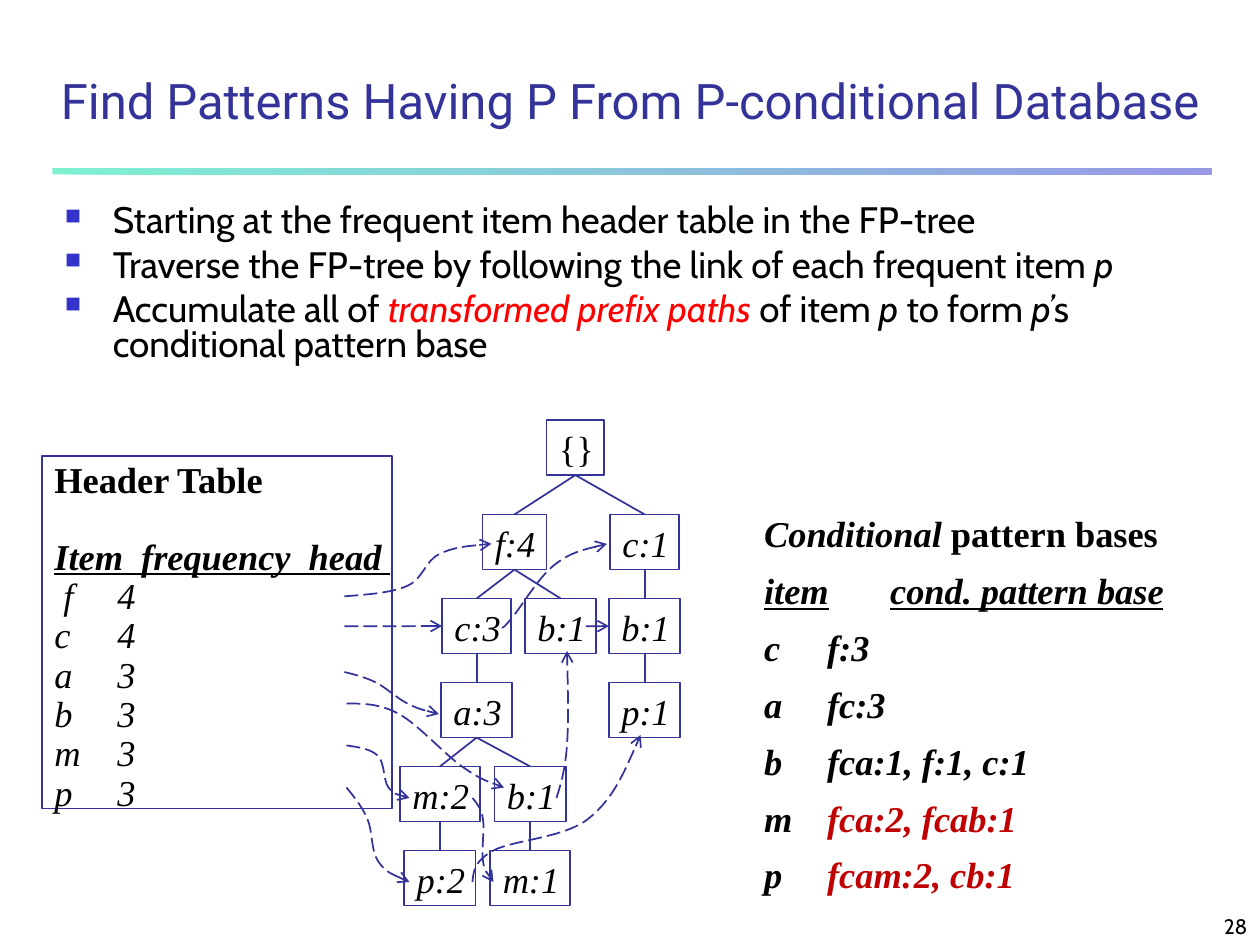
from dataclasses import dataclass
from lxml.etree import SubElement
from pptx import Presentation
from pptx.dml.color import RGBColor
from pptx.enum.dml import MSO_LINE
from pptx.enum.shapes import MSO_CONNECTOR, MSO_SHAPE
from pptx.enum.text import MSO_ANCHOR, PP_ALIGN
from pptx.oxml.ns import qn
from pptx.util import Inches, Pt

NAVY = RGBColor(0x33, 0x33, 0x99)
BLUE = RGBColor(0x33, 0x33, 0xCC)
MINT = RGBColor(0x00, 0xE4, 0xA8)
RED = RGBColor(0xFF, 0x00, 0x00)
CRIMSON = RGBColor(0xC0, 0x00, 0x00)
BLACK = RGBColor(0x00, 0x00, 0x00)

COLUMNS, ROWS = 120, 90
UNIT = Inches(10) // COLUMNS
SERIF = {"name": "Times New Roman", "size": Pt(20.8)}
BODY = {"name": "Cabin", "size": Pt(21)}
TITLE = {"name": "Roboto", "size": Pt(28)}
FOOTER = {"name": "Cabin", "size": Pt(12)}
STYLES = {"b": "bold", "i": "italic", "u": "underline"}

NODE_HEIGHT = 5.25
NODE_WIDTHS = {"{": 5.5, "f": 6.1, "c": 6.6, "b": 6.8, "a": 6.8, "p": 6.8, "m": 7.6}
NODES = {
    "root": ("{}", 50.8, 0), "f": ("f:4", 45, 1), "c right": ("c:1", 57.4, 1),
    "c": ("c:3", 41.4, 2), "b middle": ("b:1", 49.4, 2), "b right": ("b:1", 57.4, 2),
    "a": ("a:3", 41.4, 3), "p right": ("p:1", 57.4, 3),
    "m": ("m:2", 37.9, 4), "b": ("b:1", 46.5, 4),
    "p": ("p:2", 37.9, 5), "m right": ("m:1", 46.5, 5),
}
BRANCHES = [
    ("root", "f"), ("root", "c right"), ("c right", "b right"), ("b right", "p right"),
    ("f", "c"), ("f", "b middle"), ("c", "a"), ("a", "m"), ("a", "b"), ("m", "p"), ("b", "m right"),
]
STRAIGHT_LINKS = [((28.8, 19.65), "c"), ((51.8, 19.65), "b right")]
CURVED_LINKS = [
    [(28.8, 16.8), (34.8, 15.8), (37.8, 12.8), (42.8, 11.8)],
    [(43.8, 19.8), (44.8, 18.8), (48.8, 13.8), (53.8, 11.8)],
    [(28.8, 24), (31.8, 25), (34.8, 27), (37.8, 28)],
    [(29, 27), (34, 28), (40, 33), (44, 35)],
    [(49, 36), (50, 31), (50, 22)],
    [(29, 31), (32, 32), (33, 35), (35, 36)],
    [(41, 36), (42, 38), (42, 42), (43, 44)],
    [(29, 35), (31, 38), (32, 42), (35, 44)],
    [(41, 44), (43, 41), (52, 38), (57, 30)],
]


@dataclass
class Box:
    """A region measured in grid units."""
    left: float
    top: float
    width: float
    height: float

    def point(self, x, y):
        """Turn a point of the region into slide lengths."""
        return round((self.left + x) * UNIT), round((self.top + y) * UNIT)

    def inner(self, x, y, width, height):
        """Give a smaller region inside this one."""
        return Box(self.left + x, self.top + y, width, height)

    def frame(self):
        """Give left, top, width and height as slide lengths."""
        return *self.point(0, 0), round(self.width * UNIT), round(self.height * UNIT)


def write_text(shape, paragraphs, font, color=BLACK, wrap=True, anchor=MSO_ANCHOR.TOP, **layout):
    """Fill a shape with paragraphs made of (text, style letters, colour) runs."""
    frame = shape.text_frame
    frame.word_wrap, frame.vertical_anchor = wrap, anchor
    layout = {"alignment": PP_ALIGN.LEFT, **layout}
    for index, runs in enumerate(paragraphs):
        paragraph = frame.add_paragraph() if index else frame.paragraphs[0]
        for name, value in layout.items():
            if index or name != "space_before":
                setattr(paragraph, name, value)
        for text, letters, run_color in runs:
            run = paragraph.add_run()
            run.text = text
            values = {**font, **{STYLES[letter]: True for letter in letters}}
            for name, value in values.items():
                setattr(run.font, name, value)
            run.font.color.rgb = run_color or color
    return frame.paragraphs


def add_text(slide, box, paragraphs, font, **options):
    """Place a text box in a region."""
    return write_text(slide.shapes.add_textbox(*box.frame()), paragraphs, font, **options)


def add_outlined(slide, box, paragraphs, **options):
    """Place a navy outlined rectangle with serif text."""
    shape = slide.shapes.add_shape(MSO_SHAPE.RECTANGLE, *box.frame())
    shape.shadow.inherit = False
    shape.fill.background()
    set_line(shape)
    return shape, write_text(shape, paragraphs, SERIF, wrap=False, **options)


def set_line(shape, arrow=False):
    """Give a shape the navy line, dashed with an arrowhead for links."""
    shape.line.color.rgb = NAVY
    shape.line.width = Pt(1)
    if arrow:
        shape.line.dash_style = MSO_LINE.LONG_DASH
        SubElement(shape._element.spPr.find(qn("a:ln")), qn("a:tailEnd"), type="arrow")


def add_straight(slide, start, end, arrow=False):
    """Draw a plain straight connector."""
    connector = slide.shapes.add_connector(MSO_CONNECTOR.STRAIGHT, *start, *end)
    set_line(connector, arrow)
    SubElement(connector._element.spPr, qn("a:effectLst"))
    return connector


def add_curve(slide, knots):
    """Draw a dashed arrow as a smooth spline through the knots."""
    def shift(knot, index, sign):
        before, after = knots[index - 1], knots[index + 1]
        return tuple(k + sign * (a - b) / 6 for k, a, b in zip(knot, after, before))

    def middle(first, second):
        return tuple((a + b) / 2 for a, b in zip(first, second))

    points, last = [], len(knots) - 1
    for index in range(last):
        start, end = knots[index], knots[index + 1]
        leaving = shift(start, index, 1) if index else None
        arriving = shift(end, index + 1, -1) if index + 1 < last else middle(leaving, end)
        points += [leaving or middle(start, arriving), arriving, end]
    builder = slide.shapes.build_freeform(*knots[0])
    builder.add_line_segments([(round(x), round(y)) for x, y in points], close=False)
    shape = builder.convert_to_shape()
    shape.shadow.inherit = False
    shape.fill.background()
    set_line(shape, arrow=True)
    segments = list(shape._element.iter(qn("a:lnTo")))
    outline = segments[0].getparent()
    for index, segment in enumerate(segments):
        if index % 3 == 0:
            curve = SubElement(outline, qn("a:cubicBezTo"))
        curve.append(segment[0])
        outline.remove(segment)


def add_heading(slide, box):
    """Place the title above its gradient rule."""
    add_text(slide, box.inner(0, 0, box.width, 9),
             [[("Find Patterns Having P From P-conditional Database", "", None)]], TITLE,
             color=NAVY, anchor=MSO_ANCHOR.BOTTOM, alignment=PP_ALIGN.CENTER, line_spacing=0.9)
    rule = slide.shapes.add_shape(MSO_SHAPE.RECTANGLE, *box.inner(5, 12, 110.4, 0.6).frame())
    rule.shadow.inherit = False
    rule.line.fill.background()
    rule.fill.gradient()
    rule.fill.gradient_angle = 0
    for stop, color in zip(rule.fill.gradient_stops, (MINT, BLUE)):
        stop.color.rgb = color
    for color in rule._element.spPr.iter(qn("a:srgbClr")):
        SubElement(color, qn("a:alpha"), val="50000")


def add_steps(slide, box):
    """Place the bulleted steps."""
    paragraphs = add_text(slide, box, [
        [("Starting at the frequent item header table in the FP-tree", "", None)],
        [("Traverse the FP-tree by following the link of each frequent item ", "", None), ("p", "i", None)],
        [("Accumulate all of ", "", None), ("transformed prefix paths", "i", RED), (" of item ", "", None),
         ("p ", "i", None), ("to form ", "", None), ("p’", "i", None), ("s conditional pattern base", "", None)],
    ], BODY, line_spacing=0.8, space_before=Pt(5.2))
    for paragraph in paragraphs:
        properties = paragraph._p.get_or_add_pPr()
        properties.set("marL", str(Inches(0.38)))
        properties.set("indent", str(-Inches(0.38)))
        SubElement(SubElement(properties, qn("a:buClr")), qn("a:srgbClr"), val=str(BLUE))
        SubElement(properties, qn("a:buSzPct"), val="60000")
        SubElement(properties, qn("a:buChar"), char="■")


def add_pattern_bases(slide, box):
    """Place the list of conditional pattern bases."""
    bases = [("c", "f:3", None), ("a", "fc:3", None), ("b", "fca:1, f:1, c:1", None),
             ("m", "fca:2, fcab:1", CRIMSON), ("p", "fcam:2, cb:1", CRIMSON)]
    paragraphs = add_text(slide, box, [
        [("Conditional ", "bi", None), ("pattern bases", "b", None)],
        [("item\tcond. pattern base", "biu", None)],
        *([(f"{item}\t", "bi", None), (base, "bi", color)] for item, base, color in bases),
    ], SERIF, line_spacing=0.8, space_before=Pt(12.5))
    paragraphs[0].line_spacing = 1.0


def add_tree(slide, box):
    """Place the header table, the FP-tree and the links between them."""
    nodes = {}
    for name, (label, center, level) in NODES.items():
        width, top = NODE_WIDTHS[label[0]], 8 * level + (1 if level else 0)
        cell = box.inner(center - width / 2, top, width, NODE_HEIGHT)
        nodes[name], _ = add_outlined(slide, cell, [[(label, "i" if level else "", None)]])
    for parent, child in BRANCHES:
        connector = add_straight(slide, (0, 0), (0, 0))
        connector.begin_connect(nodes[parent], 2)
        connector.end_connect(nodes[child], 0)
    items = [(" f", 4), ("c", 4), ("a", 3), ("b", 3), ("m", 3), ("p", 3)]
    _, paragraphs = add_outlined(slide, box.inner(0, 3.4, 33.3, 33.6), [
        [("Header Table", "b", None)], [("Item  frequency  head ", "biu", None)],
        *([(f"{item}\t{count}", "i", None)] for item, count in items),
    ], line_spacing=0.9)
    paragraphs[1].space_before = Pt(21.5)
    for start, name in STRAIGHT_LINKS:
        start = box.point(*start)
        add_straight(slide, start, start, arrow=True).end_connect(nodes[name], 1)
    for knots in CURVED_LINKS:
        add_curve(slide, [box.point(*knot) for knot in knots])


def main():
    """Build the slide and save it."""
    presentation = Presentation()
    presentation.slide_width, presentation.slide_height = COLUMNS * UNIT, ROWS * UNIT
    slide = presentation.slides.add_slide(presentation.slide_layouts[6])
    add_heading(slide, Box(0, 4, COLUMNS, 13))
    add_steps(slide, Box(5, 19, 110, 20))
    add_pattern_bases(slide, Box(71.6, 48.1, 43.7, 37))
    add_tree(slide, Box(4, 40, 61, 47))
    add_text(slide, Box(95, 85, 25, 5), [[("28", "", None)]], FOOTER,
             anchor=MSO_ANCHOR.BOTTOM, alignment=PP_ALIGN.RIGHT)
    presentation.save("out.pptx")


if __name__ == "__main__":
    main()
